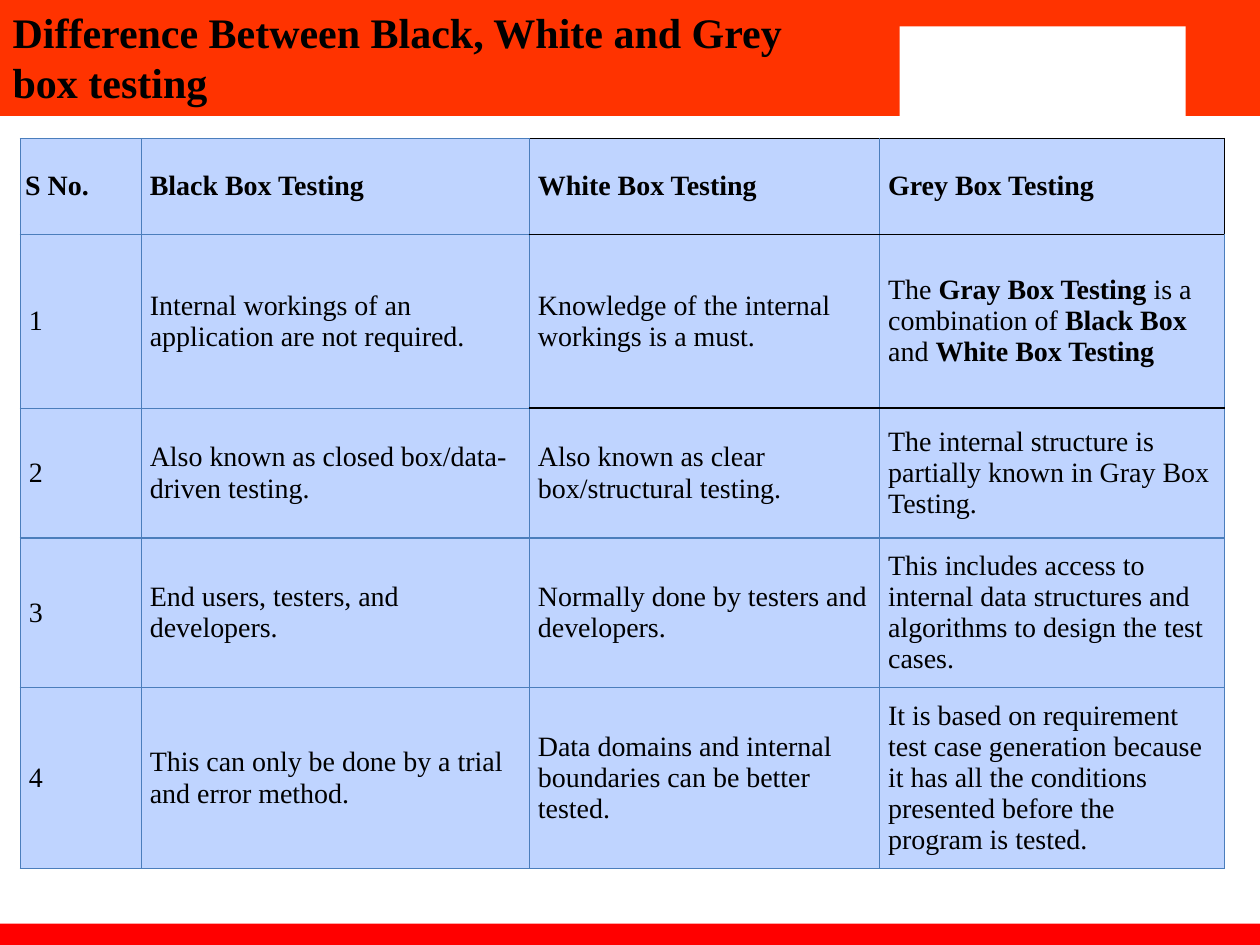
from lxml import etree
from pptx import Presentation
from pptx.dml.color import RGBColor
from pptx.enum.shapes import MSO_SHAPE
from pptx.enum.text import MSO_ANCHOR, MSO_AUTO_SIZE, PP_ALIGN
from pptx.oxml.ns import qn
from pptx.util import Inches, Pt

RECT = MSO_SHAPE.RECTANGLE
TOP, MIDDLE = MSO_ANCHOR.TOP, MSO_ANCHOR.MIDDLE
LEFT = PP_ALIGN.LEFT
NO_FIT = MSO_AUTO_SIZE.NONE

THEME = {
    "font": "Times New Roman", "title": 24, "body": 16,
    "text": "000000", "band": "FF3300", "footer": "FF0000", "paper": "FFFFFF",
    "cell": "BFD4FF", "grid": "4B7EBC", "rule": "000000",
    "grid_width": 0.75, "rule_width": 1,
}
TITLE = "Difference Between Black, White and Grey box testing"
TITLE_BOX = (0, 0, 6.47, 0.91)
BARS = [
    ("band", (0, 0, 10, 0.92)),
    ("footer", (0, 7.33, 10, 0.17)),
    ("paper", (7.14, 0.21, 2.27, 0.75)),
]
TABLE_AT = (0.16, 1.1)
COLUMNS = [0.96, 3.08, 2.78, 2.74]
HEIGHTS = [0.76, 1.38, 1.03, 1.03, 1.38]
ROWS = [
    ["S No.", "Black Box Testing", "White Box Testing", "Grey Box Testing"],
    ["1", "Internal workings of an application are not required.",
     "Knowledge of the internal workings is a must.",
     "The **Gray Box Testing **is a combination of **Black Box **and **White Box Testing"],
    ["2", "Also known as closed box/data-driven testing.",
     "Also known as clear box/structural testing.",
     "The internal structure is partially known in Gray Box Testing."],
    ["3", "End users, testers, and developers.",
     "Normally done by testers and developers.",
     "This includes access to internal data structures and algorithms to design the test cases."],
    ["4", "This can only be done by a trial and error method.",
     "Data domains and internal boundaries can be better tested.",
     "It is based on requirement test case generation because it has all the "
     "conditions presented before the program is tested."],
]


def color(name):
    return RGBColor.from_string(THEME[name])


def style(p, size, bold):
    p.alignment = LEFT
    p.font.name = THEME["font"]
    p.font.size = Pt(THEME[size])
    p.font.bold = bold
    p.font.color.rgb = color("text")


def add_bar(s, name, box):
    sp = s.shapes.add_shape(RECT, *map(Inches, box))
    sp.shadow.inherit = False
    sp.fill.solid()
    sp.fill.fore_color.rgb = color(name)
    sp.line.fill.background()


def set_title(s):
    sp = s.shapes.title
    sp.element.getparent().append(sp.element)
    sp.left, sp.top, sp.width, sp.height = map(Inches, TITLE_BOX)
    tf = sp.text_frame
    tf.text = TITLE
    tf.word_wrap = True
    tf.auto_size = NO_FIT
    tf.vertical_anchor = TOP
    style(tf.paragraphs[0], "title", True)


def black_sides(row, col):
    if col < 2:
        return ""
    if row == 0:
        return "TBR" if col == 3 else "TB"
    return {1: "TB", 2: "T"}.get(row, "")


def set_borders(cell, black):
    tc_pr = cell._tc.get_or_add_tcPr()
    for side in "LRTB":
        kind = "rule" if side in black else "grid"
        width = Pt(THEME[kind + "_width"])
        ln = etree.SubElement(tc_pr, qn("a:ln" + side), w=str(width))
        fill = etree.SubElement(ln, qn("a:solidFill"))
        etree.SubElement(fill, qn("a:srgbClr"), val=THEME[kind])


def fill_cell(cell, text, row, col):
    set_borders(cell, black_sides(row, col))
    cell.fill.solid()
    cell.fill.fore_color.rgb = color("cell")
    cell.vertical_anchor = MIDDLE
    header = row == 0
    cell.margin_left = cell.margin_right = Inches(0.04 if header and col == 0 else 0.07)
    cell.margin_top = cell.margin_bottom = Inches(0.07 if header else 0.1)
    p = cell.text_frame.paragraphs[0]
    style(p, "body", header)
    for i, part in enumerate(text.split("**")):
        r = p.add_run()
        r.text = part
        r.font.name = THEME["font"]
        r.font.size = Pt(THEME["body"])
        r.font.color.rgb = color("text")
        r.font.bold = header or i % 2 == 1


def add_comparison(s):
    box = (*TABLE_AT, sum(COLUMNS), sum(HEIGHTS))
    table = s.shapes.add_table(len(ROWS), len(COLUMNS), *map(Inches, box)).table
    table.horz_banding = False
    for column, width in zip(table.columns, COLUMNS):
        column.width = Inches(width)
    for i, (height, texts) in enumerate(zip(HEIGHTS, ROWS)):
        table.rows[i].height = Inches(height)
        for j, text in enumerate(texts):
            fill_cell(table.cell(i, j), text, i, j)


def main():
    prs = Presentation()
    prs.slide_width, prs.slide_height = Inches(10), Inches(7.5)
    s = prs.slides.add_slide(prs.slide_layouts[5])
    for name, box in BARS:
        add_bar(s, name, box)
    add_comparison(s)
    set_title(s)
    prs.save("out.pptx")


if __name__ == "__main__":
    main()
